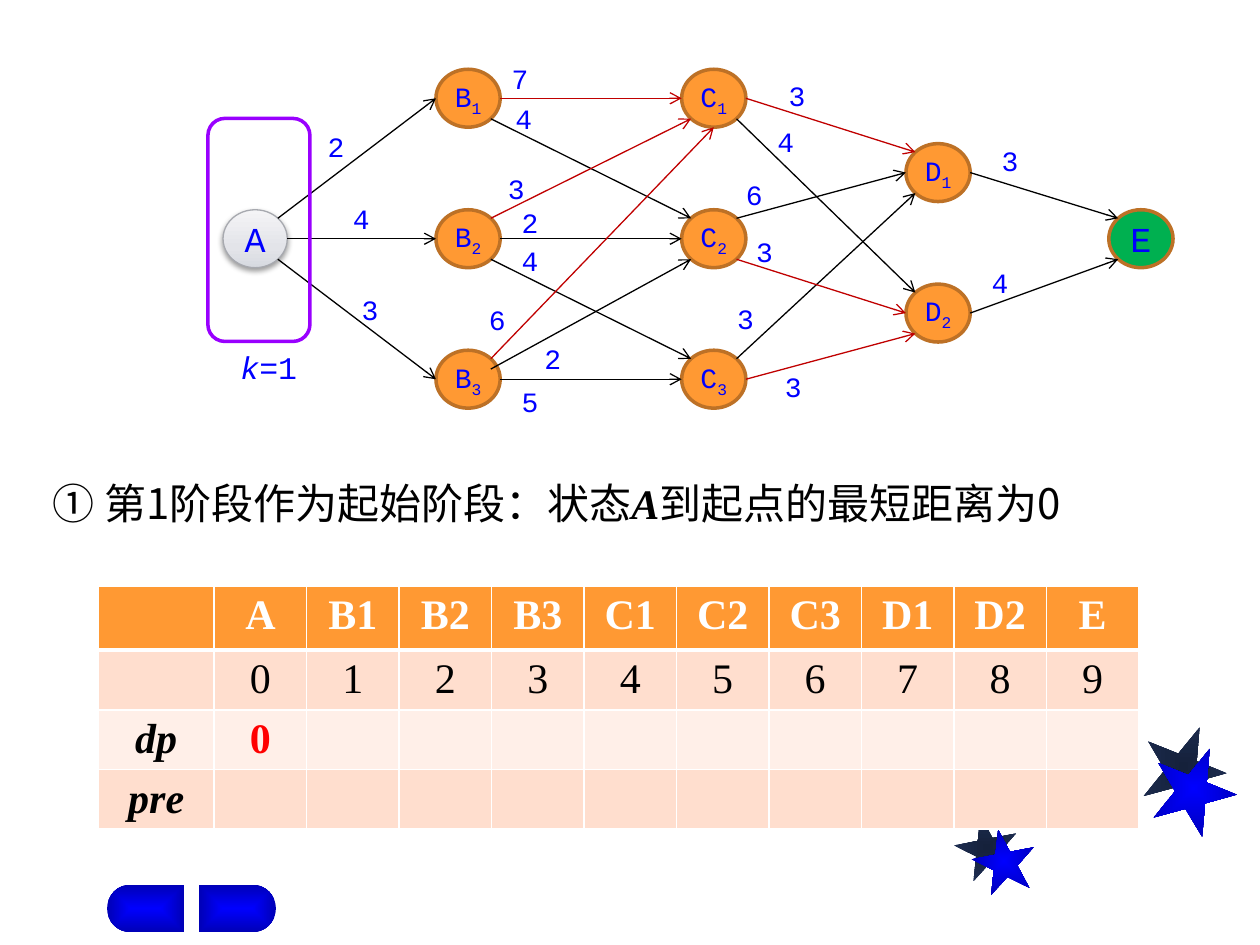
from dataclasses import dataclass
from math import cos, pi, sin

from lxml.etree import SubElement
from pptx import Presentation
from pptx.dml.color import RGBColor
from pptx.enum.shapes import MSO_CONNECTOR, MSO_SHAPE
from pptx.enum.text import MSO_ANCHOR, PP_ALIGN
from pptx.oxml import parse_xml
from pptx.oxml.ns import nsdecls, qn
from pptx.util import Emu, Inches, Pt


@dataclass(frozen=True)
class Theme:
    """Colours, fonts and type sizes of the slide."""
    ink: str = "000000"
    paper: str = "FFFFFF"
    blue: str = "0000FF"
    red: str = "C00000"
    result: str = "FF0000"
    orange: str = "FF9933"
    rim: str = "BD7126"
    green: str = "00B050"
    grey: str = "A7A9AF"
    stage: str = "9900FF"
    bands: tuple = ("FFDECE", "FFEFE8")
    silver: tuple = ((0, "D7DAE0"), (35, "E3E4E9"), (100, "F4F4F6"))
    glow: tuple = ((0, "0000FF"), (100, "0000B6"))
    shade: tuple = ((0, "15213B"), (100, "1E2E53"))
    mono: str = "Courier New"
    serif: str = "Times New Roman"
    cjk: str = "Noto Sans CJK SC"
    label: int = 16
    stage_label: int = 18
    big_node: int = 20
    body: int = 24


D = cos(pi / 4)
SITES = {"e": (1, 0), "w": (-1, 0), "s": (0, 1), "ne": (D, -D), "se": (D, D),
         "nw": (-D, -D), "sw": (-D, D), "ene": (D, -0.35)}


class Canvas:
    """Draws styled elements on a grid of 100 columns by 75 rows."""

    def __init__(self, prs, theme):
        self.t = theme
        self.unit = prs.slide_width / 100
        self.s = prs.slides.add_slide(prs.slide_layouts[6])
        self.nodes = {}

    def grid(self, *values):
        return [Emu(round(v * self.unit)) for v in values]

    def rgb(self, colour):
        return RGBColor.from_string(colour)

    def style(self, sp, fill=None, line=None, width=1):
        sp.shadow.inherit = False
        if fill:
            sp.fill.solid()
            sp.fill.fore_color.rgb = self.rgb(fill)
        else:
            sp.fill.background()
        if line:
            sp.line.color.rgb = self.rgb(line)
            sp.line.width = Pt(width)
        else:
            sp.line.fill.background()

    def gradient(self, sp, stops, kind=None):
        gs = "".join(f'<a:gs pos="{pos * 1000}"><a:srgbClr val="{c}"/></a:gs>' for pos, c in stops)
        way = (f'<a:path path="{kind}"><a:fillToRect l="50000" t="50000" r="50000" b="50000"/></a:path>'
               if kind else '<a:lin ang="16200000" scaled="0"/>')
        spPr = sp._element.spPr
        spPr.replace(spPr.find(qn("a:noFill")), parse_xml(
            f'<a:gradFill {nsdecls("a")} rotWithShape="1"><a:gsLst>{gs}</a:gsLst>{way}</a:gradFill>'))

    def add_runs(self, p, text, size, colour, font, align=PP_ALIGN.LEFT):
        for part in text:
            p.add_run().text = part
        p.alignment = align
        p.font.size, p.font.name = Pt(size), font
        p.font.color.rgb = self.rgb(colour)
        return p.runs

    def text(self, at, text, size, colour, font, inset=(1, 0.5)):
        tf = self.s.shapes.add_textbox(*self.grid(*at)).text_frame
        tf.word_wrap = True
        tf.margin_left = tf.margin_right = self.grid(inset[0])[0]
        tf.margin_top = tf.margin_bottom = self.grid(inset[1])[0]
        return self.add_runs(tf.paragraphs[0], text, size, colour, font), tf.paragraphs[0]

    def star(self, x, y, size, turn, stops):
        sp = self.s.shapes.add_shape(MSO_SHAPE.STAR_5_POINT, *self.grid(x, y, size, size))
        sp.rotation = turn
        self.style(sp)
        self.gradient(sp, stops, "shape")

    def half_pill(self, flat, side, top):
        length, r = 6.1, 1.9
        arc = [(flat + side * (length - r + r * cos(a)), top + r + r * sin(a))
               for a in (pi * (i / 16 - 0.5) for i in range(17))]
        points = [tuple(self.grid(*p)) for p in [(flat, top), *arc, (flat, top + 2 * r)]]
        fb = self.s.shapes.build_freeform(*points[0])
        fb.add_line_segments(points[1:], close=True)
        sp = fb.convert_to_shape()
        self.style(sp)
        self.gradient(sp, self.t.glow, "rect")

    def node(self, name, x, y, fill=None):
        w, h = 5.1, 4.6
        sp = self.s.shapes.add_shape(MSO_SHAPE.OVAL, *self.grid(x - w / 2, y - h / 2, w, h))
        self.style(sp, fill, self.t.rim if fill else self.t.grey, 2 if fill else 0.75)
        tf = sp.text_frame
        tf.margin_left = tf.margin_right = 0
        tf.vertical_anchor = MSO_ANCHOR.MIDDLE
        size = self.t.label if len(name) > 1 else self.t.big_node
        runs = self.add_runs(tf.paragraphs[0], name, size, self.t.blue, self.t.mono, PP_ALIGN.CENTER)
        for r in runs[1:]:
            r._r.get_or_add_rPr().set("baseline", "-25000")
        self.nodes[name] = {k: (x + dx * w / 2, y + dy * h / 2) for k, (dx, dy) in SITES.items()}
        return sp

    def silver_node(self, name, x, y):
        sp = self.node(name, x, y)
        self.gradient(sp, self.t.silver)
        sp._element.spPr.find(qn("a:effectLst")).append(parse_xml(
            f'<a:outerShdw {nsdecls("a")} blurRad="40000" dist="20000" dir="5400000" rotWithShape="0">'
            f'<a:srgbClr val="{self.t.ink}"><a:alpha val="38000"/></a:srgbClr></a:outerShdw>'))

    def edge(self, start, leave, end, enter, colour):
        ends = self.grid(*self.nodes[start][leave], *self.nodes[end][enter])
        c = self.s.shapes.add_connector(MSO_CONNECTOR.STRAIGHT, *ends)
        c.line.color.rgb, c.line.width = self.rgb(colour), Pt(0.75)
        spPr = c._element.spPr
        SubElement(spPr.find(qn("a:ln")), qn("a:tailEnd"), type="arrow")
        SubElement(spPr, qn("a:effectLst"))

    def frame(self, at):
        sp = self.s.shapes.add_shape(MSO_SHAPE.ROUNDED_RECTANGLE, *self.grid(*at))
        self.style(sp, line=self.t.stage, width=2)

    def cell(self, cell, row, col, text):
        t = self.t
        head = row == 0
        cell.fill.solid()
        cell.fill.fore_color.rgb = self.rgb(t.orange if head else t.bands[(row - 1) % 2])
        for i, side in enumerate("LRTB"):
            width = 3 if (row, side) in ((0, "B"), (1, "T")) else 1
            cell._tc.get_or_add_tcPr().insert(i, parse_xml(
                f'<a:ln{side} {nsdecls("a")} w="{Pt(width)}"><a:solidFill>'
                f'<a:srgbClr val="{t.paper}"/></a:solidFill></a:ln{side}>'))
        colour = t.paper if head else t.result if row == 2 and col else t.ink
        p = cell.text_frame.paragraphs[0]
        self.add_runs(p, [text] if text else [], t.body, colour, t.serif, PP_ALIGN.CENTER)
        p.font.bold = row != 1
        p.font.italic = row > 1 and col == 0

    def table(self, at, rows, first_col, head_row):
        x, y, w, h = at
        n = len(rows[0])
        tbl = self.s.shapes.add_table(len(rows), n, *self.grid(x, y, w, h)).table
        for i, col in enumerate(tbl.columns):
            col.width = self.grid((w - first_col) / (n - 1) if i else first_col)[0]
        for i, row in enumerate(tbl.rows):
            row.height = self.grid((h - head_row) / (len(rows) - 1) if i else head_row)[0]
            for j, text in enumerate(rows[i]):
                self.cell(tbl.cell(i, j), i, j, text)


def main():
    """Build the shortest-path slide."""
    prs = Presentation()
    prs.slide_width, prs.slide_height = Inches(10), Inches(7.5)
    t = Theme()
    c = Canvas(prs, t)

    for stops, places in ((t.shade, ((75.8, 64.7), (84.1, 58.5), (90.6, 57.5))),
                          (t.glow, ((77.2, 65.8), (84.9, 59.4), (91.4, 59.2)))):
        for (x, y), (size, turn) in zip(places, ((5, 349), (4.6, 0), (6.7, 22))):
            c.star(x, y, size, turn, stops)
    for flat, side in ((14.6, -1), (15.8, 1)):
        c.half_pill(flat, side, 70.2)

    names = "A B1 B2 B3 C1 C2 C3 D1 D2 E".split()
    blank = [""] * (len(names) - 1)
    c.table((7.8, 46.5, 82.6, 19.3),
            [["", *names], ["", *map(str, range(len(names)))], ["dp", "0", *blank], ["pre", "", *blank]],
            9.2, 5.1)

    c.silver_node("A", 20.25, 18.95)
    for letter, x, top, count in (("B", 37.15, 7.8, 3), ("C", 56.65, 7.8, 3), ("D", 74.45, 13.7, 2)):
        for i in range(count):
            c.node(f"{letter}{i + 1}", x, top + 11.15 * i, t.orange)
    c.node("E", 90.55, 18.95, t.green)

    plain = ("A ne B1 w", "A e B2 w", "A se B3 w", "B1 se C2 nw", "B2 e C2 w", "B2 se C3 nw",
             "B3 ene C2 sw", "B3 e C3 w", "C1 se D2 nw", "C2 ne D1 w", "C3 ne D1 sw",
             "D1 e E nw", "D2 e E sw")
    marked = ("B1 e C1 w", "B2 ne C1 sw", "B3 ne C1 s", "C1 e D1 nw", "C2 se D2 w", "C3 e D2 sw")
    for colour, edges in ((t.ink, plain), (t.red, marked)):
        for edge in edges:
            c.edge(*edge.split(), colour)

    weights = ((2, 26, 10.3), (4, 28, 16), (3, 28.7, 23.2), (7, 40.6, 4.9), (4, 40.9, 8.1),
               (3, 40.3, 13.6), (2, 41.4, 16.3), (4, 41.4, 19.3), (6, 38.8, 24), (2, 43.2, 27.1),
               (5, 41.4, 30.5), (3, 62.6, 6.2), (4, 61.7, 9.9), (6, 59.2, 14.1), (3, 60, 18.6),
               (3, 58.5, 23.9), (3, 62.3, 29.3), (3, 79.5, 11.4), (4, 78.7, 21.1))
    for weight, x, y in weights:
        c.text((x, y, 2.5, 2.7), [str(weight)], t.label, t.blue, t.mono, (0, 0))

    c.frame((16.5, 9.4, 8.1, 17.7))
    runs, _ = c.text((18.1, 27.1, 7.9, 4), ["k", "=1"], t.stage_label, t.blue, t.mono)
    runs[0].font.italic = True

    runs, p = c.text((3.2, 37.4, 82.6, 9), ["① 第1阶段作为起始阶段：状态", "A", "到起点的最短距离为0"],
                     t.body, t.ink, t.cjk)
    p.line_spacing = Pt(29)
    for r, font in zip(runs, (t.cjk, t.serif, t.cjk)):
        r.font.name = font
        SubElement(r._r.get_or_add_rPr(), qn("a:ea"), typeface=font)
    runs[1].font.bold = runs[1].font.italic = True

    prs.save("out.pptx")


if __name__ == "__main__":
    main()
